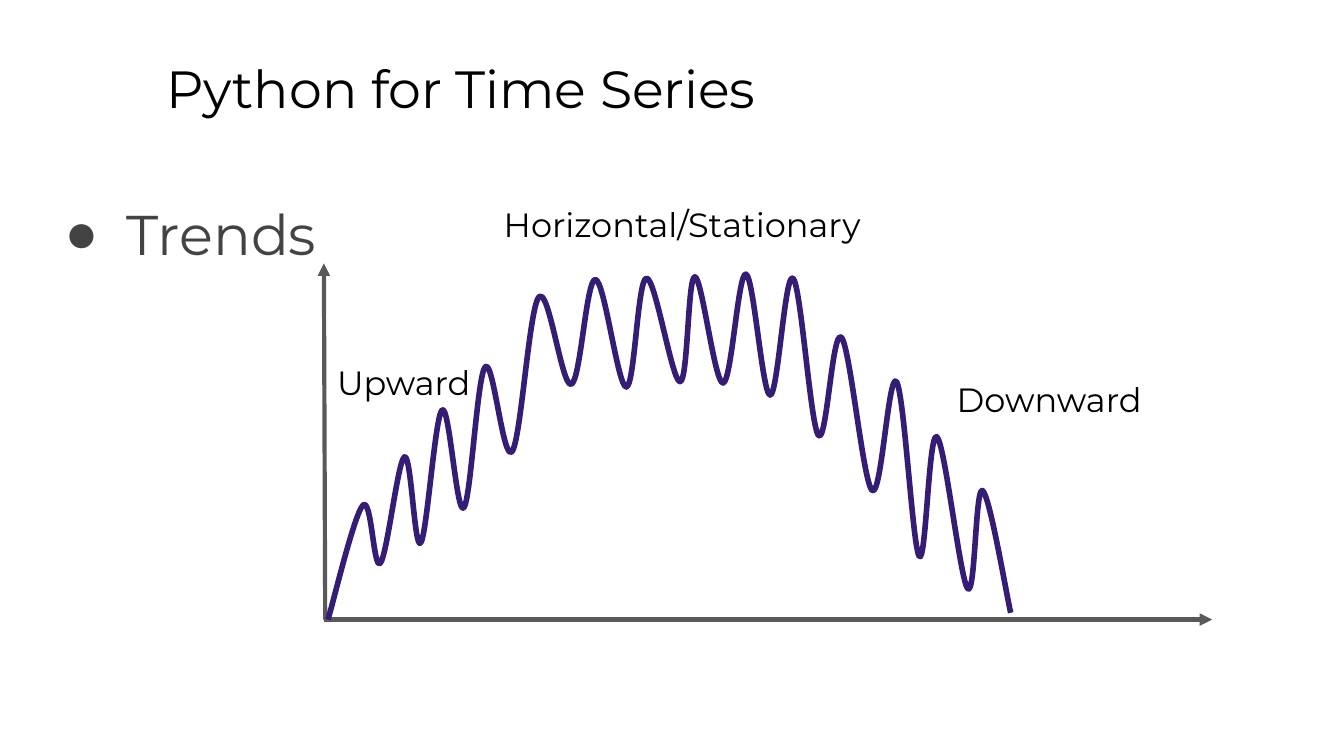
from lxml import etree
from pptx import Presentation
from pptx.dml.color import RGBColor
from pptx.enum.shapes import MSO_CONNECTOR
from pptx.enum.text import MSO_ANCHOR, MSO_AUTO_SIZE, PP_ALIGN
from pptx.oxml.ns import qn
from pptx.util import Inches, Pt

STRAIGHT = MSO_CONNECTOR.STRAIGHT
TOP = MSO_ANCHOR.TOP
NO_FIT = MSO_AUTO_SIZE.NONE
LEFT = PP_ALIGN.LEFT

FONT = "Montserrat"
COLORS = {"text": "000000", "body": "434343", "axis": "595959", "curve": "351C75"}

AXES = [((2.42, 4.61), (2.41, 1.96)), ((2.41, 4.61), (9.02, 4.61))]
LABELS = [
    ("Upward", (2.41, 2.59, 1.36, 0.37)),
    ("Downward", (7.02, 2.72, 1.85, 0.37)),
    ("Horizontal/Stationary", (3.65, 1.42, 2.96, 0.37)),
]
TURNS = [
    (2.44, 4.61), (2.7, 3.76), (2.83, 4.19), (3.01, 3.4), (3.13, 4.04),
    (3.29, 3.05), (3.45, 3.78), (3.61, 2.73), (3.81, 3.36), (4.01, 2.21),
    (4.25, 2.86), (4.43, 2.08), (4.66, 2.88), (4.81, 2.07), (5.06, 2.84),
    (5.17, 2.06), (5.38, 2.85), (5.55, 2.04), (5.73, 2.94), (5.9, 2.07),
    (6.09, 3.24), (6.26, 2.51), (6.49, 3.65), (6.67, 2.84), (6.84, 4.14),
    (6.97, 3.25), (7.2, 4.38), (7.31, 3.65), (7.52, 4.56),
]


def rgb(name):
    """Return the named colour."""
    return RGBColor.from_string(COLORS[name])


def write_text(sp, text, box, size, color="text"):
    """Place a text shape and fill it with one left-aligned paragraph."""
    sp.left, sp.top, sp.width, sp.height = map(Inches, box)
    tf = sp.text_frame
    tf.auto_size = NO_FIT
    tf.word_wrap = True
    tf.vertical_anchor = TOP
    tf.margin_left = tf.margin_right = tf.margin_top = tf.margin_bottom = Inches(0.1)
    p = tf.paragraphs[0]
    p.text = text
    p.alignment = LEFT
    p.space_before = Pt(0)
    p.font.name, p.font.size = FONT, Pt(size)
    p.font.color.rgb = rgb(color)
    return p


def add_bullet(p, char):
    """Give a paragraph a hanging bullet."""
    pPr = p._p.get_or_add_pPr()
    pPr.set("marL", str(Inches(0.5)))
    pPr.set("indent", str(Inches(-0.46)))
    bullet = etree.Element(qn("a:buChar"), char=char)
    pPr.find(qn("a:defRPr")).addprevious(bullet)


def add_label(s, text, box):
    """Add a label for one part of the curve."""
    write_text(s.shapes.add_textbox(0, 0, 0, 0), text, box, 18)


def add_axis(s, start, end):
    """Add an axis with an arrowhead at its end."""
    axis = s.shapes.add_connector(STRAIGHT, *map(Inches, start + end))
    axis.line.color.rgb = rgb("axis")
    axis.line.width = Pt(2.25)
    etree.SubElement(axis.line._get_or_add_ln(), qn("a:tailEnd"), type="triangle")
    etree.SubElement(axis._element.spPr, qn("a:effectLst"))


def smooth_path(sp):
    """Turn the straight segments of a freeform into a Catmull-Rom curve."""
    pts = [(int(e.get("x")), int(e.get("y"))) for e in sp._element.iter(qn("a:pt"))]
    padded = [pts[0], *pts, pts[-1]]
    segments = list(sp._element.iter(qn("a:lnTo")))
    for seg, before, a, b, after in zip(segments, padded, pts, pts[1:], padded[3:]):
        c1 = [q + (n - m) / 6 for m, q, n in zip(before, a, b)]
        c2 = [q - (n - m) / 6 for m, q, n in zip(a, b, after)]
        curve = etree.Element(qn("a:cubicBezTo"))
        for x, y in (c1, c2, b):
            etree.SubElement(curve, qn("a:pt"), x=str(round(x)), y=str(round(y)))
        seg.getparent().replace(seg, curve)


def add_curve(s, points):
    """Add a smooth open curve through the points."""
    start, *rest = [tuple(map(Inches, pt)) for pt in points]
    builder = s.shapes.build_freeform(*start)
    builder.add_line_segments(rest, close=False)
    sp = builder.convert_to_shape()
    smooth_path(sp)
    sp.fill.background()
    sp.line.color.rgb = rgb("curve")
    sp.line.width = Pt(3)
    sp.shadow.inherit = False


def main():
    """Build the slide on time series trends."""
    prs = Presentation()
    prs.slide_width = Inches(10)
    prs.slide_height = prs.slide_width * 9 // 16
    s = prs.slides.add_slide(prs.slide_layouts[1])
    title, body = s.placeholders
    write_text(title, "Python for Time Series", (1.14, 0.32, 8.52, 0.63), 28)
    p = write_text(body, "Trends", (0.34, 1.31, 9.32, 3.74), 30, "body")
    p.line_spacing = 1.15
    add_bullet(p, "●")
    for start, end in AXES:
        add_axis(s, start, end)
    add_curve(s, TURNS)
    for text, box in LABELS:
        add_label(s, text, box)
    prs.save("out.pptx")


if __name__ == "__main__":
    main()
